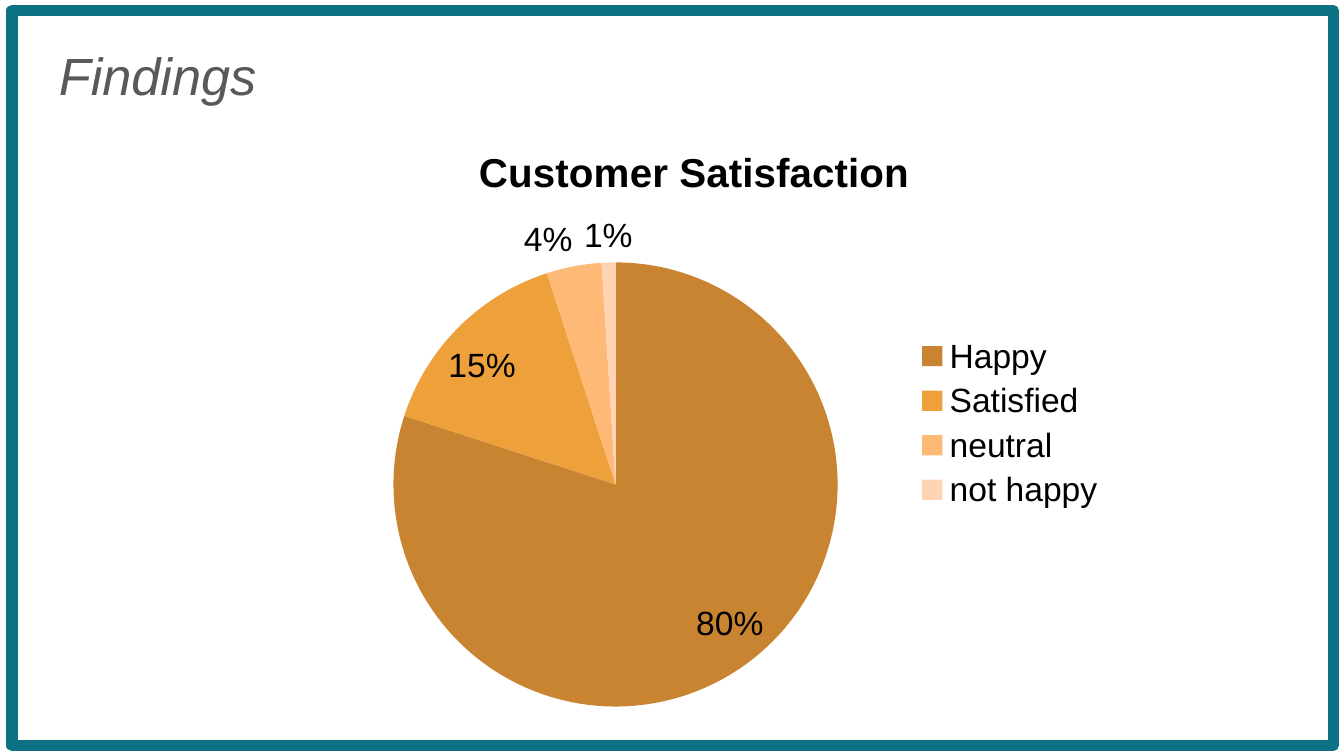
from lxml import etree
from pptx import Presentation
from pptx.chart.data import CategoryChartData
from pptx.dml.color import RGBColor
from pptx.enum.chart import XL_CHART_TYPE, XL_LABEL_POSITION, XL_LEGEND_POSITION
from pptx.enum.shapes import MSO_SHAPE
from pptx.oxml import parse_xml
from pptx.oxml.ns import qn
from pptx.util import Inches, Pt

PIE = XL_CHART_TYPE.PIE
BEST_FIT = XL_LABEL_POSITION.BEST_FIT
RIGHT = XL_LEGEND_POSITION.RIGHT
RECTANGLE = MSO_SHAPE.RECTANGLE
WIDTH = 10
HEIGHT = WIDTH * 9 / 16
CHART_NS = "http://schemas.openxmlformats.org/drawingml/2006/chart"


def color(value):
    return RGBColor.from_string(value)


class SlideBuilder:
    font_name = "Arial"
    frame_color = "0C7182"
    heading_color = "595959"
    chart_color = "000000"

    def __init__(self, slide):
        self.slide = slide

    def place(self, left, top, width, height):
        return (Inches(WIDTH * left), Inches(HEIGHT * top),
                Inches(WIDTH * width), Inches(HEIGHT * height))

    def style(self, font, size, value, bold=False, italic=False):
        font.name = self.font_name
        font.size = Pt(size)
        font.bold = bold
        font.italic = italic
        font.color.rgb = color(value)

    def frame(self, *shares):
        border = self.slide.shapes.add_shape(RECTANGLE, *self.place(*shares))
        border.shadow.inherit = False
        border.fill.background()
        border.line.color.rgb = color(self.frame_color)
        border.line.width = Pt(6)
        etree.SubElement(border.line._get_or_add_ln(), qn("a:round"))

    def heading(self, text, *shares):
        box = self.slide.shapes.add_textbox(*self.place(*shares))
        text_frame = box.text_frame
        text_frame.word_wrap = True
        text_frame.margin_left = text_frame.margin_right = Inches(0.1)
        text_frame.margin_top = text_frame.margin_bottom = Inches(0.1)
        text_frame.text = text
        self.style(text_frame.paragraphs[0].runs[0].font, 28, self.heading_color, italic=True)

    def pie(self, title, slices, title_corner, plot_area, *shares):
        data = CategoryChartData()
        data.categories = [name for name, _, _ in slices]
        data.add_series(title, [value for _, value, _ in slices])
        chart = self.slide.shapes.add_chart(PIE, *self.place(*shares), data).chart
        self.style(chart.font, 18, self.chart_color)
        chart.has_title = True
        chart.chart_title.text_frame.text = title
        title_span = chart.chart_title.text_frame.paragraphs[0].runs[0]
        self.style(title_span.font, 21.6, self.chart_color, bold=True)
        chart.has_legend = True
        chart.legend.position = RIGHT
        chart.legend.include_in_layout = False
        self.style(chart.legend.font, 18, self.chart_color)
        plot = chart.plots[0]
        plot.vary_by_categories = True
        series = plot.series[0]
        for index, (_, _, fill_color) in enumerate(slices):
            fill = series.points[index].format.fill
            fill.solid()
            fill.fore_color.rgb = color(fill_color)
        self.percent_labels(series)
        chart_space = chart._chartSpace
        self.set_layout(chart_space.find(".//" + qn("c:title")), 1, title_corner)
        self.set_layout(chart_space.find(".//" + qn("c:plotArea")), 0, plot_area,
                        '<c:layoutTarget val="inner"/>')

    def percent_labels(self, series):
        labels = series.data_labels
        labels.show_percentage = True
        labels.show_value = False
        labels.number_format = "0%"
        labels.number_format_is_linked = False
        labels.position = BEST_FIT
        self.style(labels.font, 18, self.chart_color)

    def set_layout(self, parent, index, shares, target=""):
        sizes = "".join(f'<c:{key} val="{share}"/>' for key, share in zip("xywh", shares))
        layout = parse_xml(
            f'<c:layout xmlns:c="{CHART_NS}"><c:manualLayout>{target}'
            f'<c:xMode val="edge"/><c:yMode val="edge"/>{sizes}</c:manualLayout></c:layout>')
        for old_layout in parent.findall(qn("c:layout")):
            parent.remove(old_layout)
        parent.insert(index, layout)


def main():
    deck = Presentation()
    deck.slide_width, deck.slide_height = Inches(WIDTH), Inches(HEIGHT)
    page = SlideBuilder(deck.slides.add_slide(deck.slide_layouts[6]))
    page.frame(0.009, 0.014, 0.983, 0.972)
    page.heading("Findings", 0.034, 0.039, 0.932, 0.155)
    slices = [
        ("Happy", 80, "C88431"),
        ("Satisfied", 15, "EEA03B"),
        ("neutral", 4, "FFB977"),
        ("not happy", 1, "FFD3B3"),
    ]
    page.pie("Customer Satisfaction", slices, (0.23, 0.03), (0.137, 0.234, 0.528, 0.736),
             0.207, 0.16, 0.626, 0.799)
    deck.save("out.pptx")


if __name__ == "__main__":
    main()
